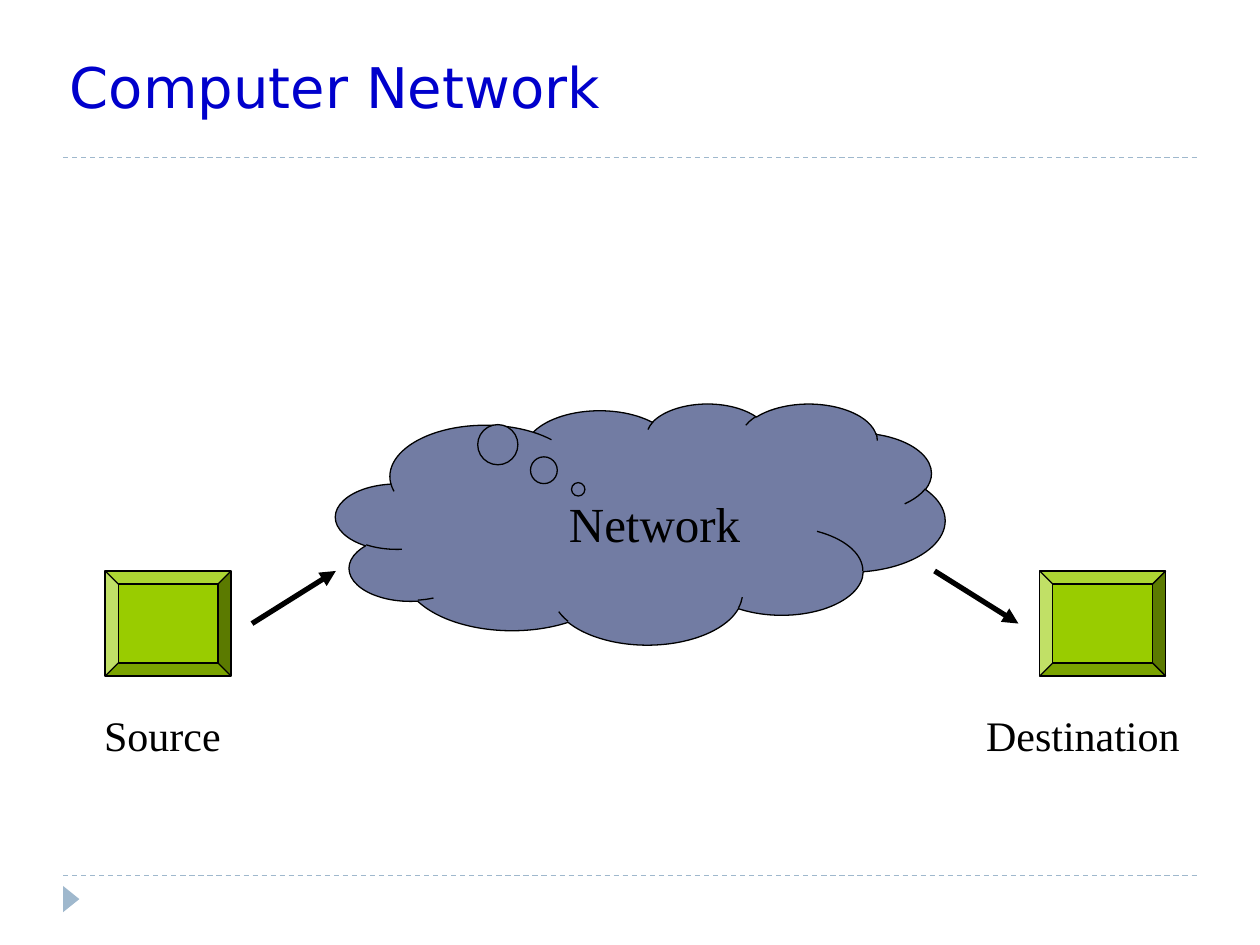
"""Build the Computer Network slide: a source and a destination joined by a cloud."""
from lxml.etree import SubElement
from pptx import Presentation
from pptx.dml.color import RGBColor
from pptx.enum.dml import MSO_LINE
from pptx.enum.shapes import MSO_CONNECTOR, MSO_SHAPE
from pptx.enum.text import MSO_ANCHOR, MSO_AUTO_SIZE
from pptx.oxml.ns import qn
from pptx.util import Cm, Pt

BLACK = RGBColor(0x00, 0x00, 0x00)
TITLE_BLUE = RGBColor(0x00, 0x00, 0xCC)
RULE_BLUE = RGBColor(0x9F, 0xB8, 0xCD)
CLOUD_BLUE = RGBColor(0x72, 0x7C, 0xA3)
DEVICE_GREEN = RGBColor(0x99, 0xCC, 0x00)

RULE_HEIGHTS = [17.65, 3.18]
TITLE = ("Computer Network", (1.16, 0.97, 21.59, 1.57), 32, "DejaVu Sans", TITLE_BLUE)
CLOUD_BOX = (6.77, 8.13, 12.28, 4.86)
DEVICE_LEFTS = [2.12, 20.96]
DEVICE_TOP, DEVICE_WIDTH, DEVICE_HEIGHT = 11.51, 2.54, 2.12
ARROWS = [(5.08, 12.57, 6.77, 11.51), (18.84, 11.51, 20.53, 12.57)]
LABELS = [
    ("Network", (11.22, 9.82, 5.97, 1.45), 28, True),
    ("Destination", (19.63, 14.17, 4.42, 1.27), 24, False),
    ("Source", (1.85, 14.17, 2.86, 1.27), 24, False),
]


def lengths(values):
    return [Cm(value) for value in values]


def add_line(slide, ends, color, width):
    line = slide.shapes.add_connector(MSO_CONNECTOR.STRAIGHT, *lengths(ends))
    line.line.color.rgb = color
    line.line.width = Pt(width)
    SubElement(line._element.spPr, qn("a:effectLst"))
    return line


def add_figure(slide, kind, box, fill, outlined=True, adjustments=()):
    shape = slide.shapes.add_shape(kind, *lengths(box))
    shape.shadow.inherit = False
    shape.fill.solid()
    shape.fill.fore_color.rgb = fill
    if outlined:
        shape.line.color.rgb = BLACK
        shape.line.width = Pt(0.75)
    else:
        shape.line.fill.background()
    for index, value in enumerate(adjustments):
        shape.adjustments[index] = value
    return shape


def add_text(slide, text, box, size, font_name, color, wrap=True):
    text_frame = slide.shapes.add_textbox(*lengths(box)).text_frame
    text_frame.word_wrap = wrap
    text_frame.text = text
    font = text_frame.paragraphs[0].runs[0].font
    font.size = Pt(size)
    font.name = font_name
    font.color.rgb = color
    return text_frame


def main():
    presentation = Presentation()
    presentation.slide_width, presentation.slide_height = Cm(25.4), Cm(19.05)
    slide = presentation.slides.add_slide(presentation.slide_layouts[6])

    for height in RULE_HEIGHTS:
        rule = add_line(slide, (1.27, height, 24.13, height), RULE_BLUE, 0.75)
        rule.line.dash_style = MSO_LINE.DASH
    marker = add_figure(
        slide, MSO_SHAPE.ISOSCELES_TRIANGLE, (1.17, 17.96, 0.53, 0.33), RULE_BLUE, outlined=False
    )
    marker.rotation = 90

    title_frame = add_text(slide, *TITLE)
    title_frame.vertical_anchor = MSO_ANCHOR.BOTTOM
    add_figure(
        slide, MSO_SHAPE.CLOUD_CALLOUT, CLOUD_BOX, CLOUD_BLUE, adjustments=(-0.102, -0.143)
    )
    for left in DEVICE_LEFTS:
        box = (left, DEVICE_TOP, DEVICE_WIDTH, DEVICE_HEIGHT)
        add_figure(slide, MSO_SHAPE.BEVEL, box, DEVICE_GREEN, adjustments=(0.125,))
    for ends in ARROWS:
        arrow = add_line(slide, ends, BLACK, 3)
        SubElement(arrow.line._get_or_add_ln(), qn("a:tailEnd"), type="triangle")
    for text, box, size, wrap in LABELS:
        label_frame = add_text(slide, text, box, size, "Times New Roman", BLACK, wrap)
        label_frame.auto_size = MSO_AUTO_SIZE.SHAPE_TO_FIT_TEXT

    presentation.save("out.pptx")


if __name__ == "__main__":
    main()
